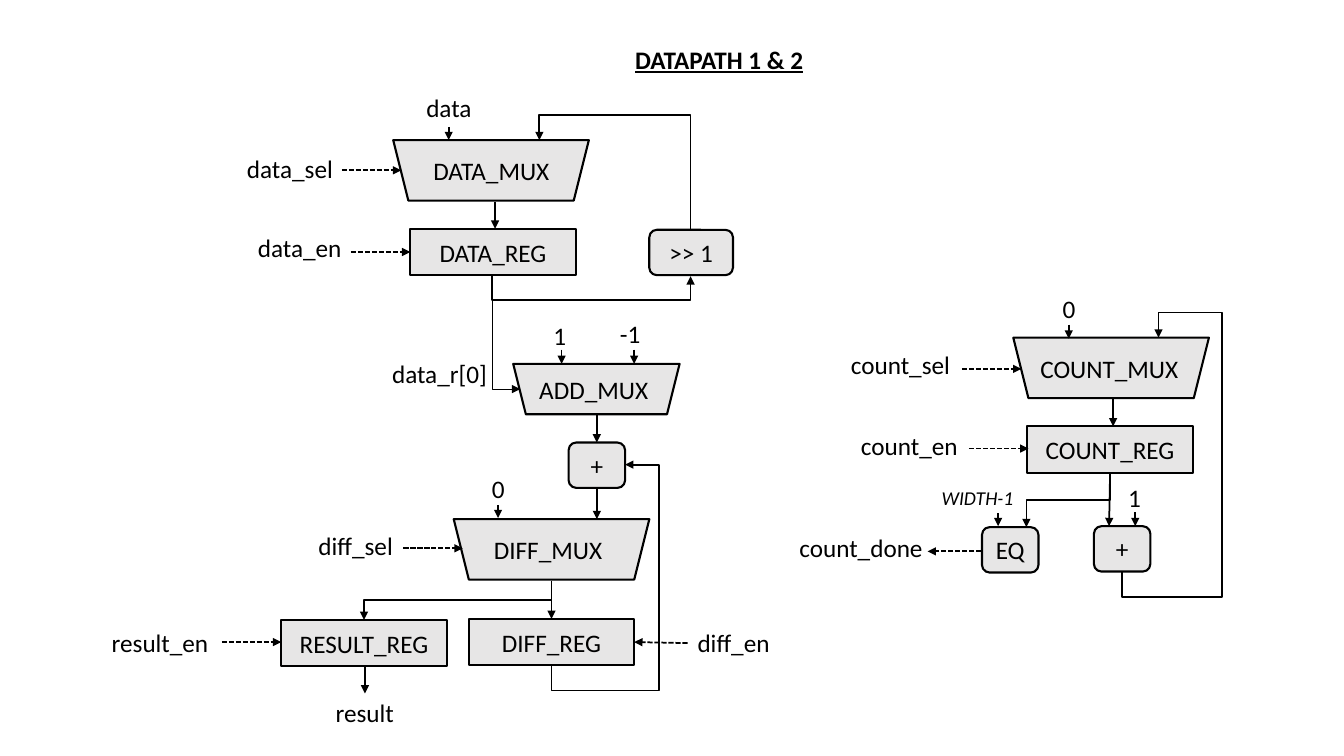
from dataclasses import dataclass

from lxml.etree import SubElement
from pptx import Presentation
from pptx.dml.color import RGBColor
from pptx.enum.dml import MSO_LINE
from pptx.enum.shapes import MSO_CONNECTOR as Link, MSO_SHAPE as Preset
from pptx.enum.text import MSO_ANCHOR, MSO_AUTO_SIZE, PP_ALIGN
from pptx.oxml.ns import qn
from pptx.util import Inches, Pt

BLACK = "000000"
GREY = "E7E6E6"
FONT = "Calibri"
REG_SIZE = (1.64, 0.46)
MUX_SIZE = (1.94, 0.6)
OP_SIZE = (0.56, 0.45)


@dataclass
class Block:
    text: str
    left: float
    top: float
    size: tuple[float, float]
    preset: Preset = Preset.RECTANGLE


@dataclass
class Mux:
    text: str
    left: float
    top: float
    label_left: float
    label_top: float
    label_width: float = 1.37
    size: tuple[float, float] = MUX_SIZE


@dataclass
class Label:
    text: str
    left: float
    top: float
    width: float = 0.41
    size: int = 18
    bold: bool = False
    italic: bool = False
    underline: bool = False


@dataclass
class Wire:
    start: tuple[float, float]
    end: tuple[float, float]
    dashed: bool = False


@dataclass
class BentWire:
    start: tuple[float, float]
    end: tuple[float, float]
    turns: tuple[float, ...] = ()
    weight: float = 1.25


BLOCKS = [
    Block("DATA_REG", 4.07, 2.27, REG_SIZE),
    Block("DIFF_REG", 4.65, 6.14, REG_SIZE),
    Block("RESULT_REG", 2.79, 6.15, REG_SIZE),
    Block("COUNT_REG", 10.19, 4.23, REG_SIZE),
    Block("+", 5.64, 4.39, OP_SIZE, Preset.ROUNDED_RECTANGLE),
    Block(">> 1", 6.44, 2.28, (0.83, 0.45), Preset.ROUNDED_RECTANGLE),
    Block("+", 10.85, 5.22, OP_SIZE, Preset.ROUNDED_RECTANGLE),
    Block("EQ", 9.74, 5.23, OP_SIZE, Preset.ROUNDED_RECTANGLE),
]
MUXES = [
    Mux("DATA_MUX", 3.9, 1.39, 4.2, 1.49),
    Mux("ADD_MUX", 5.09, 3.61, 5.25, 3.66, size=(1.65, 0.5)),
    Mux("DIFF_MUX", 4.5, 5.15, 4.8, 5.25),
    Mux("COUNT_MUX", 10.05, 3.35, 10.22, 3.46, 1.6),
]
LABELS = [
    Label("DATAPATH 1 & 2", 6.2, 0.39, 3.62, bold=True, underline=True),
    Label("data", 4.13, 0.87, 0.73),
    Label("1", 5.39, 3.13),
    Label("-1", 6.05, 3.11),
    Label("0", 4.78, 4.65),
    Label("0", 10.44, 2.86),
    Label("1", 11.09, 4.74),
    Label("WIDTH-1", 9.24, 4.77, 0.92, size=14, italic=True),
    Label("data_r[0]", 3.79, 3.51, 1.52),
    Label("data_sel", 2.35, 1.47, 1.52),
    Label("data_en", 2.46, 2.26, 1.17),
    Label("diff_sel", 3.06, 5.21, 1.17),
    Label("diff_en", 6.82, 6.17, 1.17),
    Label("result_en", 1.01, 6.17, 1.17),
    Label("count_sel", 8.34, 3.42, 1.28),
    Label("count_en", 8.44, 4.22, 1.28),
    Label("count_done", 7.83, 5.23, 1.5),
    Label("result", 3.23, 6.87, 0.88),
]
WIRES = [
    Wire((4.45, 1.26), (4.45, 1.39)),
    Wire((4.91, 2), (4.91, 2.27)),
    Wire((5.57, 3.47), (5.57, 3.61)),
    Wire((6.29, 3.47), (6.29, 3.61)),
    Wire((5.92, 4.11), (5.92, 4.39)),
    Wire((5.92, 4.84), (5.92, 5.15)),
    Wire((4.94, 5.01), (4.94, 5.14)),
    Wire((5.47, 5.76), (5.47, 6.14)),
    Wire((3.62, 6.6), (3.62, 6.88)),
    Wire((10.6, 3.22), (10.6, 3.36)),
    Wire((11.04, 3.95), (11.04, 4.23)),
    Wire((11.01, 4.69), (11, 5.22)),
    Wire((11.26, 5.08), (11.26, 5.22)),
    Wire((9.9, 5.09), (9.9, 5.22)),
    Wire((3.39, 1.69), (3.98, 1.69), dashed=True),
    Wire((3.48, 2.5), (4.07, 2.5), dashed=True),
    Wire((4, 5.44), (4.59, 5.44), dashed=True),
    Wire((6.82, 6.38), (6.29, 6.37), dashed=True),
    Wire((2.2, 6.37), (2.79, 6.37), dashed=True),
    Wire((9.54, 3.66), (10.13, 3.66), dashed=True),
    Wire((9.61, 4.45), (10.2, 4.45), dashed=True),
    Wire((9.73, 5.47), (9.2, 5.47), dashed=True),
]
BENT_WIRES = [
    BentWire((4.88, 2.73), (6.85, 2.74), (2.98,)),
    BentWire((6.85, 2.28), (5.35, 1.39), (1.14,)),
    BentWire((4.88, 2.73), (5.16, 3.86), weight=0.5),
    BentWire((5.47, 5.76), (3.61, 6.15), (5.95,)),
    BentWire((5.47, 6.6), (6.2, 4.61), (6.85, 6.54)),
    BentWire((11.01, 4.69), (10.18, 5.23), (4.96,)),
    BentWire((11.13, 5.67), (11.49, 3.35), (5.92, 12.12, 3.1)),
]


def colour(value: str) -> RGBColor:
    return RGBColor.from_string(value)


def write(frame, text: str, *, size=18, bold=False, italic=False, underline=False, align=PP_ALIGN.LEFT) -> None:
    frame.word_wrap = True
    para = frame.paragraphs[0]
    para.alignment = align
    span = para.add_run()
    span.text = text
    font = span.font
    font.name, font.size, font.color.rgb = FONT, Pt(size), colour(BLACK)
    font.bold, font.italic, font.underline = bold, italic, underline


def add_body(page, preset: Preset, left: float, top: float, size: tuple[float, float]):
    box = page.shapes.add_shape(preset, Inches(left), Inches(top), *map(Inches, size))
    box.shadow.inherit = False
    box.fill.solid()
    box.fill.fore_color.rgb = colour(GREY)
    box.line.color.rgb = colour(BLACK)
    box.line.width = Pt(1.5)
    return box


def draw_block(page, block: Block) -> None:
    box = add_body(page, block.preset, block.left, block.top, block.size)
    box.text_frame.vertical_anchor = MSO_ANCHOR.MIDDLE
    write(box.text_frame, block.text, align=PP_ALIGN.CENTER)


def draw_label(page, label: Label) -> None:
    box = page.shapes.add_textbox(Inches(label.left), Inches(label.top), Inches(label.width), Inches(0.4))
    box.text_frame.auto_size = MSO_AUTO_SIZE.SHAPE_TO_FIT_TEXT
    write(box.text_frame, label.text, size=label.size, bold=label.bold, italic=label.italic, underline=label.underline)


def draw_mux(page, mux: Mux) -> None:
    add_body(page, Preset.TRAPEZOID, mux.left, mux.top, mux.size).rotation = 180
    draw_label(page, Label(mux.text, mux.label_left, mux.label_top, mux.label_width))


def add_arrow(page, kind: Link, start: tuple, end: tuple, weight: float = 1.25):
    arrow = page.shapes.add_connector(kind, *map(Inches, (*start, *end)))
    arrow.line.color.rgb = colour(BLACK)
    arrow.line.width = Pt(weight)
    properties = arrow.element.spPr
    SubElement(properties, qn("a:effectLst"))
    return arrow, properties


def add_head(properties) -> None:
    SubElement(properties.find(qn("a:ln")), qn("a:tailEnd"), type="triangle")


def draw_wire(page, wire: Wire) -> None:
    arrow, properties = add_arrow(page, Link.STRAIGHT, wire.start, wire.end)
    if wire.dashed:
        arrow.line.dash_style = MSO_LINE.SQUARE_DOT
    add_head(properties)


def draw_bent_wire(page, wire: BentWire) -> None:
    (x1, y1), (x2, y2) = wire.start, wire.end
    across, down = x2 - x1, y2 - y1
    middle_x, middle_y = (x1 + x2) / 2, (y1 + y2) / 2
    half_width, half_height = abs(down) / 2, abs(across) / 2
    corner = (middle_x - half_width, middle_y - half_height)
    opposite = (middle_x + half_width, middle_y + half_height)
    _, properties = add_arrow(page, Link.ELBOW, corner, opposite, wire.weight)
    frame = properties.find(qn("a:xfrm"))
    frame.set("rot", str(90 * 60000))
    frame.set("flipH", str(int(down < 0)))
    frame.set("flipV", str(int(across > 0)))
    geometry = properties.find(qn("a:prstGeom"))
    geometry.set("prst", f"bentConnector{len(wire.turns) + 2}")
    guides = geometry.find(qn("a:avLst"))
    for number, turn in enumerate(wire.turns, 1):
        share = (turn - y1) / down if number % 2 else (turn - x1) / across
        SubElement(guides, qn("a:gd"), name=f"adj{number}" if len(wire.turns) > 1 else "adj1",
                   fmla=f"val {round(share * 100000)}")
    add_head(properties)


deck = Presentation()
deck.slide_width, deck.slide_height = Inches(13.33), Inches(7.5)
page = deck.slides.add_slide(deck.slide_layouts[6])
for draw, parts in ((draw_block, BLOCKS), (draw_mux, MUXES), (draw_label, LABELS),
                    (draw_wire, WIRES), (draw_bent_wire, BENT_WIRES)):
    for part in parts:
        draw(page, part)
deck.save("out.pptx")
